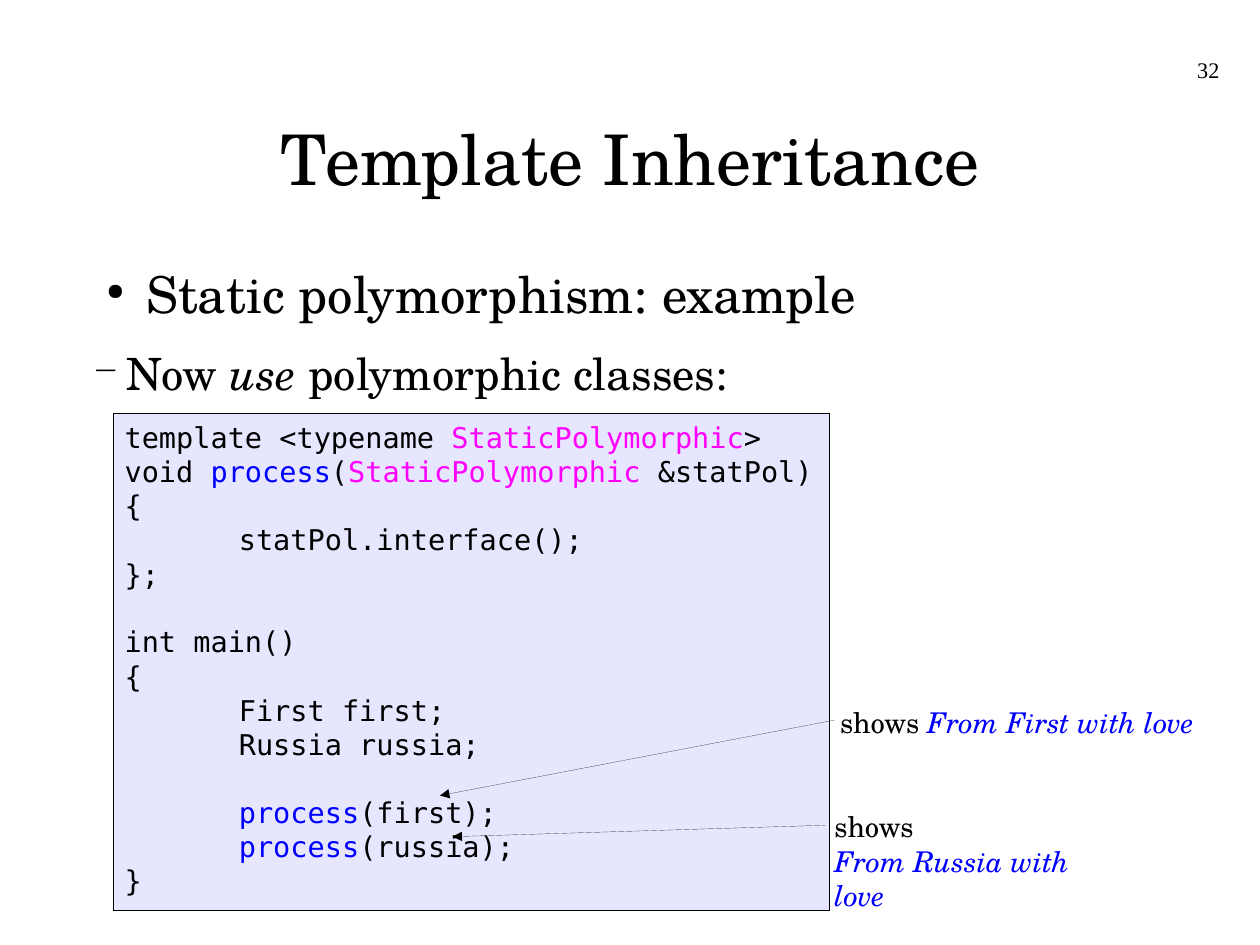
from dataclasses import dataclass

import pptx
import pptx.dml.color
import pptx.enum.shapes
import pptx.enum.text
import pptx.oxml.ns
import pptx.util
from lxml import etree
from pptx.util import Inches

COLOURS = {"text": "000000", "panel": "E6E6FF", "type": "FF00FF", "call": "0000FF"}
SERIF, MONO, TIMES = "TeX Gyre Schola", "DejaVu Sans Mono", "Times New Roman"
ALIGN = pptx.enum.text.PP_ALIGN
ANCHOR = pptx.enum.text.MSO_ANCHOR
LINE_GAP = 21
HAIRLINE = pptx.util.Pt(0.01)


@dataclass
class Span:
    text: str
    colour: str = "text"
    italic: bool = False


@dataclass
class Bullet:
    symbol: str
    percent: int
    hanging: float


@dataclass
class Para:
    spans: list[Span]
    size: float = 18
    margin: float = 0
    before: float = 0
    after: float = 0
    bullet: Bullet | None = None


@dataclass
class Box:
    left: float
    top: float
    width: float
    height: float
    paras: list[Para]
    font: str = SERIF
    align: ALIGN = ALIGN.LEFT
    anchor: ANCHOR = ANCHOR.TOP


@dataclass
class Arrow:
    start: tuple[float, float]
    end: tuple[float, float]


def code(*spans: str | Span, margin: float = 0, before: float = 0) -> Para:
    """Make a code line; plain strings become black spans."""
    return Para([Span(s) if isinstance(s, str) else s for s in spans],
                margin=margin, before=before)


PROCESS = Span("process", "call")
TYPE = Span("StaticPolymorphic", "type")

BOXES = [
    Box(0.81, 0.69, 9.41, 1.38, [Para([Span("Template Inheritance")], 44)],
        align=ALIGN.CENTER, anchor=ANCHOR.MIDDLE),
    Box(0.81, 2.3, 9.49, 5.21, [
        Para([Span("Static polymorphism: example")], 32, margin=0.47, after=14.1,
             bullet=Bullet("●", 45, 0.35)),
        Para([Span("Now "), Span("use", italic=True), Span(" polymorphic classes:")],
             28, margin=0.3, after=11.3, bullet=Bullet("−", 75, 0.3)),
    ]),
    Box(1.09, 3.67, 6.1, 4.22, [
        code("template <typename ", TYPE, ">"),
        code("void ", PROCESS, "(", TYPE, " &statPol)"),
        code("{"),
        code("statPol.interface();", margin=1),
        code("};"),
        code("int main()", before=LINE_GAP),
        code("{"),
        code("First first;", margin=1),
        code("Russia russia;", margin=1),
        code(PROCESS, "(first);", margin=1, before=LINE_GAP),
        code(PROCESS, "(russia);", margin=1),
        code("}"),
    ], font=MONO),
    Box(7.35, 6.17, 3.34, 0.34,
        [Para([Span("shows "), Span("From First with love", "call", True)])]),
    Box(7.3, 7.08, 3.12, 1.02, [
        Para([Span("shows")]),
        Para([Span("From Russia with", "call", True)]),
        Para([Span("love", "call", True)]),
    ]),
    Box(8.1, 0.49, 2.57, 0.57, [Para([Span("32")], 14)], font=TIMES, align=ALIGN.RIGHT),
]

ARROWS = [Arrow((7.3, 6.3), (3.85, 6.96)), Arrow((7.22, 7.22), (3.96, 7.32))]


def rgb(name: str) -> pptx.dml.color.RGBColor:
    return pptx.dml.color.RGBColor.from_string(COLOURS[name])


def add_element(parent, tag: str, **attributes: str):
    return etree.SubElement(parent, pptx.oxml.ns.qn(tag), attributes)


def set_indent(paragraph, para: Para) -> None:
    """Set the left margin and, where there is one, the hanging bullet."""
    properties = paragraph._p.get_or_add_pPr()
    properties.set("marL", str(Inches(para.margin)))
    properties.set("indent", "0")
    if para.bullet:
        properties.set("indent", str(-Inches(para.bullet.hanging)))
        colour = add_element(properties, "a:buClr")
        add_element(colour, "a:srgbClr", val=COLOURS["text"])
        add_element(properties, "a:buSzPct", val=str(para.bullet.percent * 1000))
        add_element(properties, "a:buChar", char=para.bullet.symbol)


def add_paragraph(paragraph, para: Para, box: Box) -> None:
    paragraph.alignment = box.align
    paragraph.space_before = pptx.util.Pt(para.before)
    paragraph.space_after = pptx.util.Pt(para.after)
    set_indent(paragraph, para)
    paragraph.font.name = box.font
    paragraph.font.size = pptx.util.Pt(para.size)
    for span in para.spans:
        run = paragraph.add_run()
        run.text = span.text
        run.font.color.rgb = rgb(span.colour)
        if span.italic:
            run.font.italic = True


def add_box(page, box: Box) -> None:
    frame = page.shapes.add_textbox(Inches(box.left), Inches(box.top),
                                    Inches(box.width), Inches(box.height)).text_frame
    frame.word_wrap = True
    frame.vertical_anchor = box.anchor
    frame.margin_left = frame.margin_right = frame.margin_top = frame.margin_bottom = 0
    for index, para in enumerate(box.paras):
        paragraph = frame.add_paragraph() if index else frame.paragraphs[0]
        add_paragraph(paragraph, para, box)


def add_panel(page) -> None:
    panel = page.shapes.add_shape(pptx.enum.shapes.MSO_SHAPE.RECTANGLE, Inches(0.99),
                                  Inches(3.62), Inches(6.27), Inches(4.35))
    panel.shadow.inherit = False
    panel.fill.solid()
    panel.fill.fore_color.rgb = rgb("panel")
    panel.line.color.rgb = rgb("text")
    panel.line.width = HAIRLINE


def add_arrow(page, arrow: Arrow) -> None:
    connector = page.shapes.add_connector(
        pptx.enum.shapes.MSO_CONNECTOR.STRAIGHT,
        *(Inches(value) for value in arrow.start + arrow.end))
    connector.line.color.rgb = rgb("text")
    connector.line.width = HAIRLINE
    add_element(connector.line._get_or_add_ln(), "a:tailEnd", type="triangle")
    add_element(connector._element.spPr, "a:effectLst")


def main() -> None:
    deck = pptx.Presentation()
    deck.slide_width, deck.slide_height = pptx.util.Pt(793.75), pptx.util.Pt(595.25)
    page = deck.slides.add_slide(deck.slide_layouts[6])
    add_panel(page)
    for box in BOXES:
        add_box(page, box)
    for arrow in ARROWS:
        add_arrow(page, arrow)
    deck.save("out.pptx")


if __name__ == "__main__":
    main()
